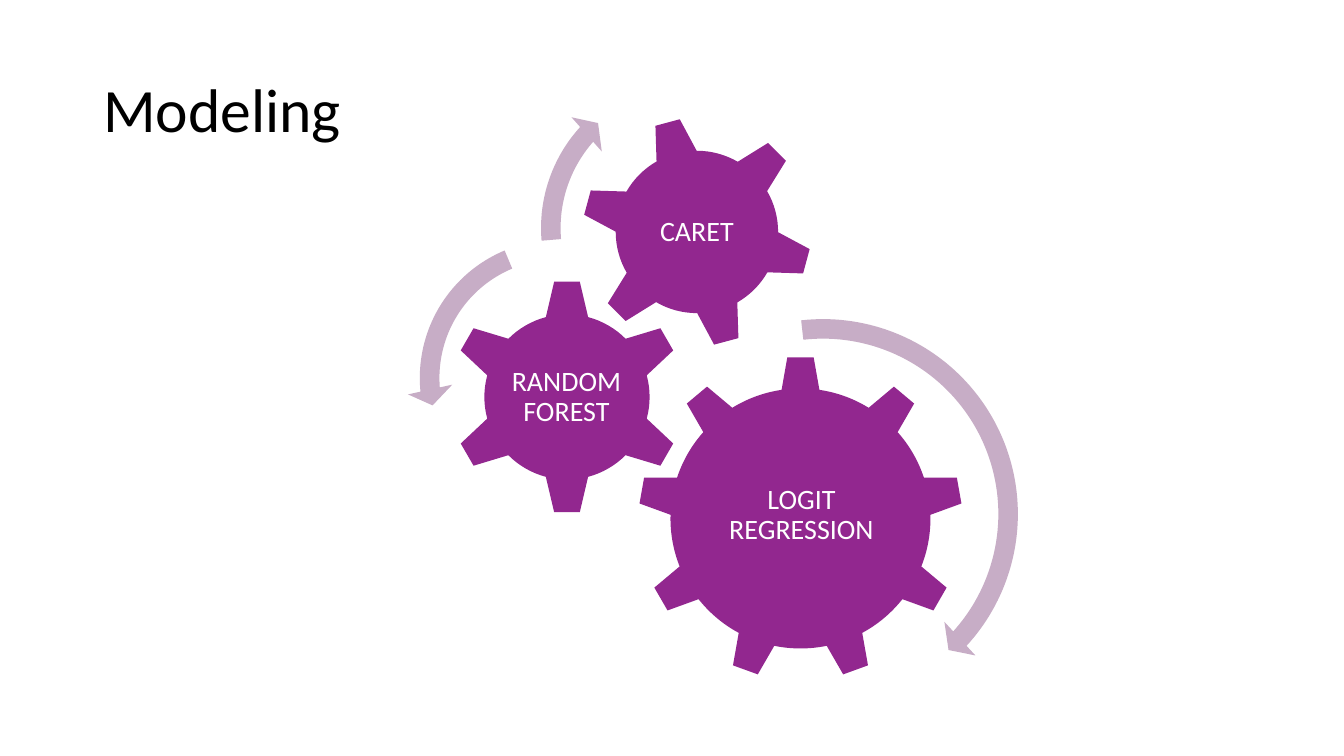
from pptx import Presentation
from pptx.dml.color import RGBColor
from pptx.enum.shapes import MSO_SHAPE as Preset
from pptx.enum.text import MSO_ANCHOR as Anchor, MSO_AUTO_SIZE as AutoSize, PP_ALIGN as Align
from pptx.util import Emu, Pt

PURPLE = RGBColor(0x92, 0x27, 0x8F)
LILAC = RGBColor(0xC7, 0xAD, 0xC6)
WHITE = RGBColor(0xFF, 0xFF, 0xFF)
BLACK = RGBColor(0x00, 0x00, 0x00)


def px(length):
    return Emu(round(length * 914400 / 100.8))


class GearSlide:
    font_name = "Calibri"
    line_spacing = 0.9
    label_margin = 3

    def __init__(self, deck):
        self.slide = deck.slides.add_slide(deck.slide_layouts[5])
        self.shapes = self.slide.shapes

    def set_text(self, frame, text, size, color, align):
        frame.text = text
        frame.word_wrap = True
        frame.auto_size = AutoSize.NONE
        frame.vertical_anchor = Anchor.MIDDLE
        paragraph = frame.paragraphs[0]
        paragraph.alignment = align
        paragraph.line_spacing = self.line_spacing
        paragraph.font.name = self.font_name
        paragraph.font.size = Pt(size)
        paragraph.font.color.rgb = color

    def title(self, text, left, top, width, height):
        heading = self.shapes.title
        heading.left, heading.top = px(left), px(top)
        heading.width, heading.height = px(width), px(height)
        self.set_text(heading.text_frame, text, 44, BLACK, Align.LEFT)

    def square_shape(self, preset, left, top, side, color):
        shape = self.shapes.add_shape(preset, px(left), px(top), px(side), px(side))
        shape.shadow.inherit = False
        shape.fill.solid()
        shape.fill.fore_color.rgb = color
        shape.line.fill.background()
        return shape

    def gear(self, preset, left, top, side, rotation=0):
        self.square_shape(preset, left, top, side, PURPLE).rotation = rotation

    def label(self, text, left, top, width, height):
        frame = self.shapes.add_textbox(px(left), px(top), px(width), px(height)).text_frame
        frame.margin_left = frame.margin_right = px(self.label_margin)
        frame.margin_top = frame.margin_bottom = px(self.label_margin)
        self.set_text(frame, text, 20, WHITE, Align.CENTER)

    def turn_arrow(self, preset, left, top, side, band, head_angle, end, start, head):
        arrow = self.square_shape(preset, left, top, side, LILAC)
        degree = 0.6
        values = (band / 100, head_angle * degree, end * degree, start * degree, head / 100)
        for index, value in enumerate(values):
            arrow.adjustments[index] = value


deck = Presentation()
deck.slide_width, deck.slide_height = px(1344), px(756)
modeling = GearSlide(deck)
modeling.title("Modeling", 93, 40, 1159, 146)

modeling.gear(Preset.GEAR_9, 638, 356, 325)
modeling.label("LOGIT REGRESSION", 704, 432, 195, 167)
modeling.gear(Preset.GEAR_6, 449, 279, 236)
modeling.label("RANDOM FOREST", 508, 339, 117, 117)
modeling.gear(Preset.GEAR_6, 581, 116, 232, rotation=345)
modeling.label("CARET", 632, 167, 130, 130)

modeling.turn_arrow(Preset.CIRCULAR_ARROW, 615, 306, 416, 4.7, 4.98, 42.31, 263.57, 5.5)
modeling.turn_arrow(Preset.LEFT_CIRCULAR_ARROW, 407, 227, 302, 6.5, 7.17, 174.82, 247.3, 7.5)
modeling.turn_arrow(Preset.CIRCULAR_ARROW, 528, 65, 326, 6, 6.57, 221.9, 175.14, 7)

deck.save("out.pptx")
